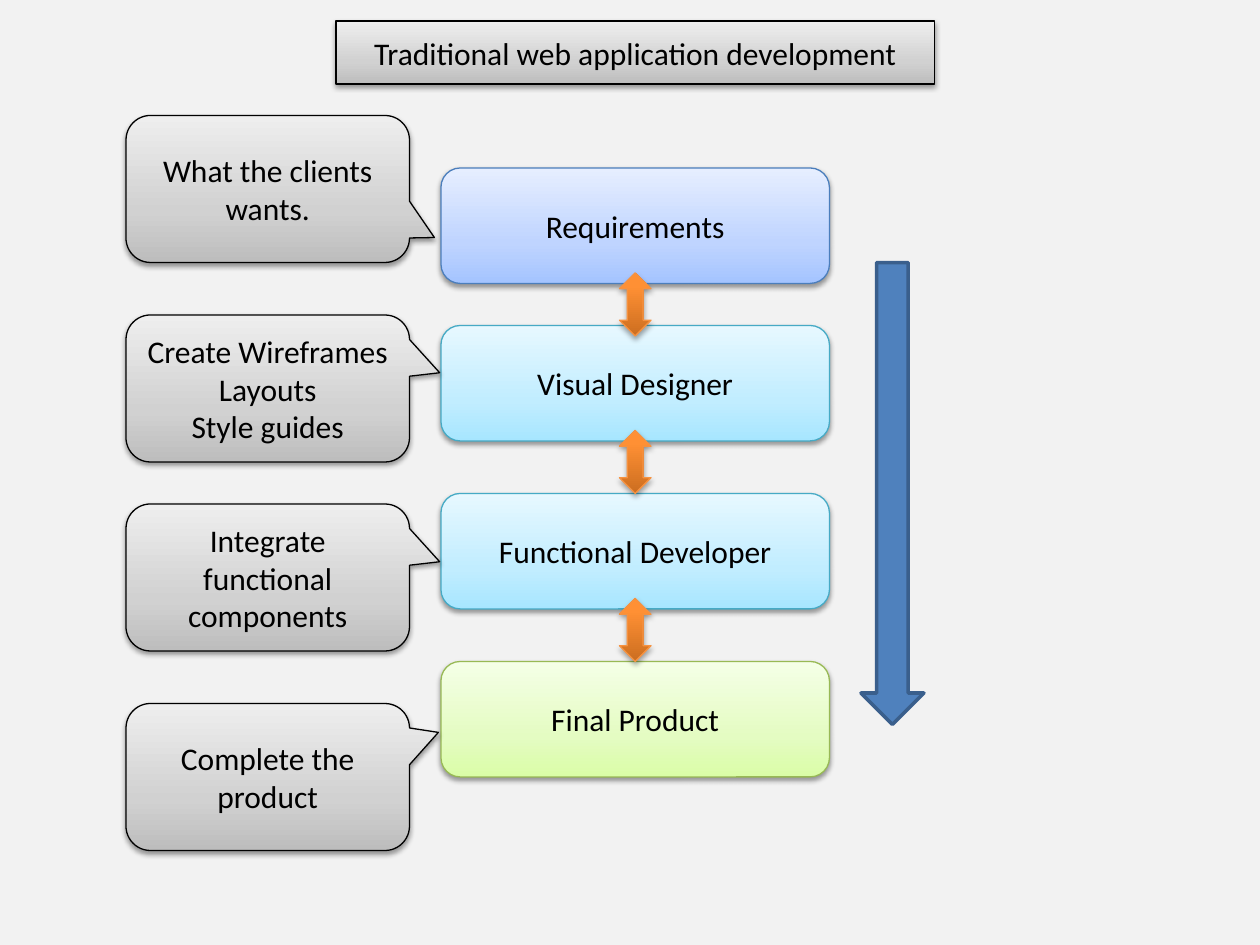
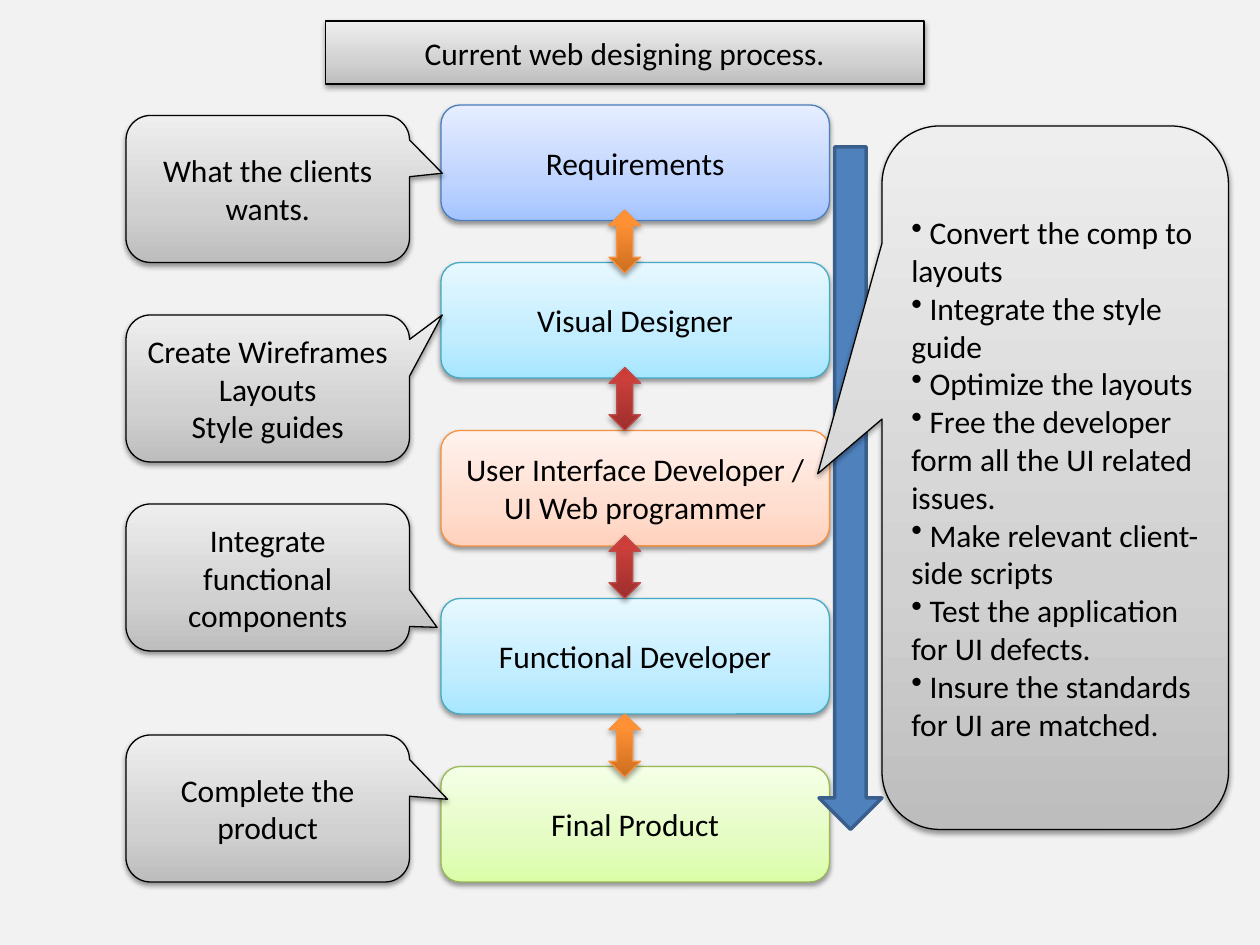
from dataclasses import dataclass

from lxml.etree import SubElement
from pptx import Presentation
from pptx.dml.color import RGBColor
from pptx.enum.shapes import MSO_SHAPE
from pptx.enum.text import MSO_ANCHOR, PP_ALIGN
from pptx.oxml.ns import qn
from pptx.util import Emu, Pt

# Content: stages as (text, style), notes as (top, tip offset from centre, lines),
# links as (style, overlap with the stage above)
CLIENT = ["What the clients wants."]
DESIGN = ["Create Wireframes", "Layouts", "Style guides"]
INTEGRATE = ["Integrate functional components"]
COMPLETE = ["Complete the product"]

SLIDES = [
    {
        "title": "Traditional web application development",
        "title_left": 256,
        "stages_top": 128,
        "stages": [
            ("Requirements", "blue"),
            ("Visual Designer", "aqua"),
            ("Functional Developer", "aqua"),
            ("Final Product", "green"),
        ],
        "links_left": 472,
        "links": [("orange_link", 8), ("orange_link", 8), ("orange_link", 8)],
        "notes": [
            (88, (127, 37), CLIENT),
            (240, (131, -12), DESIGN),
            (384, (131, -12), INTEGRATE),
            (536, (130, -34), COMPLETE),
        ],
        "flow": (656, 200, 48, 352),
        "duties": [],
    },
    {
        "title": "Current web designing process.",
        "title_left": 248,
        "stages_top": 80,
        "stages": [
            ("Requirements", "blue"),
            ("Visual Designer", "aqua"),
            ("User Interface Developer / UI Web programmer", "peach"),
            ("Functional Developer", "aqua"),
            ("Final Product", "green"),
        ],
        "links_left": 464,
        "links": [("orange_link", 8), ("red_link", 8), ("red_link", 8), ("orange_link", 0)],
        "notes": [
            (88, (133, -12), CLIENT),
            (240, (133, -56), DESIGN),
            (384, (129, 38), INTEGRATE),
            (560, (137, -7), COMPLETE),
        ],
        "flow": (624, 112, 48, 520),
        "duties": [
            "Convert the comp to layouts",
            "Integrate the style guide",
            "Optimize the layouts",
            "Free the developer form all the UI related issues.",
            "Make relevant client-side scripts",
            "Test the application for UI defects.",
            "Insure the standards for UI are matched.",
        ],
    },
]

# Measures in px
EMU_PER_PX = 9525
SLIDE_SIZE = (960, 720)
TITLE_TOP, TITLE_SIZE = 16, (456, 48)
STAGE_LEFT, STAGE_SIZE = 336, (296, 88)
FIRST_STEP, NEXT_STEP = 120, 128
LINK_SIZE = (24, 48)
NOTE_LEFT, NOTE_SIZE = 96, (216, 112)
DUTIES_BOX, DUTIES_TIP = (672, 96, 264, 536), (-181, -3)


@dataclass(frozen=True)
class Style:
    stops: tuple  # (percent, colour) from bottom to top
    line: str
    shadow_alpha: int = 38
    shadow_distance: float = 1.6


def soft(bottom, middle, top, line):
    return Style(((0, bottom), (35, middle), (100, top)), line)


def strong(bottom, middle, top, line):
    return Style(((0, bottom), (80, middle), (100, top)), line, 35, 1.8)


class Theme:
    font = "Calibri"
    text_size = Pt(18)
    text = "000000"
    background = "F2F2F2"
    flow_fill, flow_line = "4F81BD", "3A5F8C"
    thin, thick = Pt(0.75), Pt(2)
    shadow_blur = Pt(3.1)
    styles = {
        "gray": soft("BDBDBD", "D1D1D1", "EEEEEE", "000000"),
        "blue": soft("A4C4FF", "BFD4FF", "E6EEFF", "4B7EBC"),
        "aqua": soft("A7E6FF", "C1EDFF", "E7F8FF", "46AAC5"),
        "green": soft("DAFDA7", "E4FCC2", "F5FFE7", "98B955"),
        "peach": soft("FFD2BD", "FFDED0", "FFF2ED", "F69240"),
        "orange_link": strong("CC6E20", "FF9034", "FF9136", "F69240"),
        "red_link": strong("9C2F2D", "CB3E3A", "CE3B37", "BF4C48"),
    }


def px(value):
    return Emu(value * EMU_PER_PX)


def rgb(value):
    return RGBColor.from_string(value)


def set_line(shape, colour, width):
    shape.line.color.rgb = rgb(colour)
    shape.line.width = width


def apply_style(shape, name):
    """Gradient fill, outline and soft shadow."""
    style = Theme.styles[name]
    shape.fill.gradient()
    shape.fill.gradient_angle = 90
    properties = shape._element.spPr
    stop_list = properties.find(qn("a:gradFill")).find(qn("a:gsLst"))
    for stop in list(stop_list):
        stop_list.remove(stop)
    for percent, colour in style.stops:
        stop = SubElement(stop_list, qn("a:gs"), pos=str(percent * 1000))
        SubElement(stop, qn("a:srgbClr"), val=colour)
    set_line(shape, style.line, Theme.thin)
    shape.shadow.inherit = False
    shadow = SubElement(
        properties.find(qn("a:effectLst")), qn("a:outerShdw"),
        blurRad=str(Theme.shadow_blur), dist=str(Pt(style.shadow_distance)),
        dir="5400000", rotWithShape="0",
    )
    colour = SubElement(shadow, qn("a:srgbClr"), val="000000")
    SubElement(colour, qn("a:alpha"), val=str(style.shadow_alpha * 1000))


def write(shape, lines, bulleted=False):
    frame = shape.text_frame
    frame.word_wrap = True
    frame.vertical_anchor = MSO_ANCHOR.MIDDLE
    for index, line in enumerate(lines):
        paragraph = frame.add_paragraph() if index else frame.paragraphs[0]
        paragraph.alignment = PP_ALIGN.LEFT if bulleted else PP_ALIGN.CENTER
        if bulleted:
            SubElement(paragraph._p.get_or_add_pPr(), qn("a:buChar"), char="•")
        run = paragraph.add_run()
        run.text = f" {line}" if bulleted else line
        run.font.name = Theme.font
        run.font.size = Theme.text_size
        run.font.color.rgb = rgb(Theme.text)


def add_styled(slide, kind, box, style, lines=(), bulleted=False):
    shape = slide.shapes.add_shape(kind, *map(px, box))
    apply_style(shape, style)
    write(shape, lines, bulleted)
    return shape


def add_callout(slide, box, tip, lines, bulleted=False):
    callout = add_styled(
        slide, MSO_SHAPE.ROUNDED_RECTANGULAR_CALLOUT, box, "gray", lines, bulleted)
    for index, (offset, length) in enumerate(zip(tip, box[2:])):
        callout.adjustments[index] = offset / length


def add_title(slide, text, left):
    title = slide.shapes.title
    title.left, title.top = px(left), px(TITLE_TOP)
    title.width, title.height = map(px, TITLE_SIZE)
    apply_style(title, "gray")
    write(title, [text])


def add_flow_arrow(slide, box):
    arrow = slide.shapes.add_shape(MSO_SHAPE.DOWN_ARROW, *map(px, box))
    arrow.fill.solid()
    arrow.fill.fore_color.rgb = rgb(Theme.flow_fill)
    set_line(arrow, Theme.flow_line, Theme.thick)
    arrow.shadow.inherit = False


def build_slide(presentation, content):
    slide = presentation.slides.add_slide(presentation.slide_layouts[5])
    add_title(slide, content["title"], content["title_left"])

    # Stages: the first step is a little shorter than the rest
    first = content["stages_top"]
    tops = [first] + [first + FIRST_STEP + NEXT_STEP * index
                      for index in range(len(content["stages"]) - 1)]
    for top, (text, style) in zip(tops, content["stages"]):
        add_styled(slide, MSO_SHAPE.ROUNDED_RECTANGLE,
                   (STAGE_LEFT, top, *STAGE_SIZE), style, [text])

    # Notes on the left, overall flow and duties on the right
    for top, tip, lines in content["notes"]:
        add_callout(slide, (NOTE_LEFT, top, *NOTE_SIZE), tip, lines)
    add_flow_arrow(slide, content["flow"])
    if content["duties"]:
        add_callout(slide, DUTIES_BOX, DUTIES_TIP, content["duties"], bulleted=True)

    # Links between neighbouring stages
    for top, (style, overlap) in zip(tops, content["links"]):
        link_top = top + STAGE_SIZE[1] - overlap
        add_styled(slide, MSO_SHAPE.UP_DOWN_ARROW,
                   (content["links_left"], link_top, *LINK_SIZE), style)


def main():
    presentation = Presentation()
    presentation.slide_width, presentation.slide_height = map(px, SLIDE_SIZE)
    background = presentation.slide_master.background.fill
    background.solid()
    background.fore_color.rgb = rgb(Theme.background)
    for content in SLIDES:
        build_slide(presentation, content)
    presentation.save("out.pptx")


if __name__ == "__main__":
    main()
